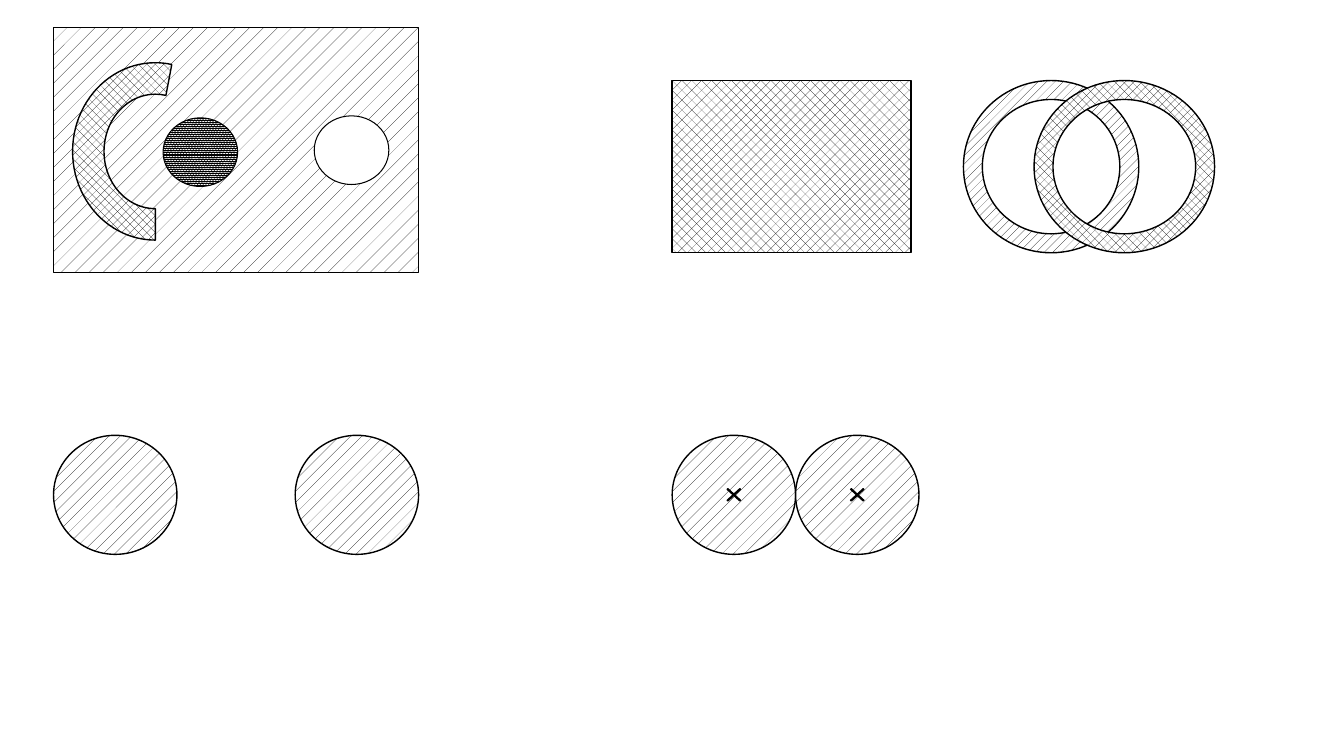
"""Build a slide of hatched plane figures: regions, rings and circle pairs."""
from pptx import Presentation
from pptx.dml.color import RGBColor
from pptx.enum.dml import MSO_PATTERN_TYPE as Pattern
from pptx.enum.shapes import MSO_SHAPE as Shape
from pptx.util import Cm, Pt

COLORS = {"ink": "000000", "paper": "FFFFFF"}
INK = RGBColor.from_string(COLORS["ink"])
PAPER = RGBColor.from_string(COLORS["paper"])
CROSSHATCH = Pattern.from_xml("pct40")

presentation = Presentation()
presentation.slide_width = Cm(33.87)
presentation.slide_height = Cm(19.05)
slide = presentation.slides.add_slide(presentation.slide_layouts[6])


def add_figure(kind, left, top, width, height, fill, line_width=1, adjustments=(), rotation=0):
    """Add an outlined figure filled with a pattern or a plain colour."""
    shape = slide.shapes.add_shape(kind, Cm(left), Cm(top), Cm(width), Cm(height))
    shape.shadow.inherit = False
    shape.rotation = rotation
    for index, value in enumerate(adjustments):
        shape.adjustments[index] = value
    if isinstance(fill, RGBColor):
        shape.fill.solid()
        shape.fill.fore_color.rgb = fill
    else:
        shape.fill.patterned()
        shape.fill.pattern = fill
        shape.fill.fore_color.rgb = INK
        shape.fill.back_color.rgb = PAPER
    shape.line.color.rgb = INK
    shape.line.width = Pt(line_width)


LEFT_EDGE, RIGHT_EDGE = 1.35, 16.94

add_figure(Shape.RECTANGLE, LEFT_EDGE, 0.69, 9.19, 6.17, Pattern.PERCENT_5, 0.75)
add_figure(Shape.BLOCK_ARC, 1.68, 1.73, 4.47, 4.17, CROSSHATCH,
           adjustments=(108, 6.43, 0.19), rotation=270)
add_figure(Shape.OVAL, 4.11, 2.97, 1.88, 1.73, Pattern.PERCENT_90, 0.75)
add_figure(Shape.OVAL, 7.92, 2.92, 1.88, 1.73, PAPER, 0.75)

ROW_TOP, ROW_HEIGHT = 2.03, 4.34
add_figure(Shape.RECTANGLE, RIGHT_EDGE, ROW_TOP, 6.02, ROW_HEIGHT, Pattern.PERCENT_30)
for left, width, pattern in [(24.28, 4.42, Pattern.PERCENT_20), (26.06, 4.55, CROSSHATCH)]:
    add_figure(Shape.DONUT, left, ROW_TOP, width, ROW_HEIGHT, pattern, adjustments=(0.11,))

CIRCLE_TOP, CIRCLE_WIDTH, CIRCLE_HEIGHT = 10.97, 3.11, 3.0
MARK_WIDTH, MARK_HEIGHT = 0.61, 0.56
circles = [
    (LEFT_EDGE, False),
    (7.44, False),
    (RIGHT_EDGE, True),
    (RIGHT_EDGE + CIRCLE_WIDTH, True),
]
for left, has_mark in circles:
    add_figure(Shape.OVAL, left, CIRCLE_TOP, CIRCLE_WIDTH, CIRCLE_HEIGHT, Pattern.PERCENT_10)
    if has_mark:
        add_figure(Shape.MATH_MULTIPLY,
                   left + (CIRCLE_WIDTH - MARK_WIDTH) / 2,
                   CIRCLE_TOP + (CIRCLE_HEIGHT - MARK_HEIGHT) / 2,
                   MARK_WIDTH, MARK_HEIGHT, INK, adjustments=(0.04,))

presentation.save("out.pptx")
